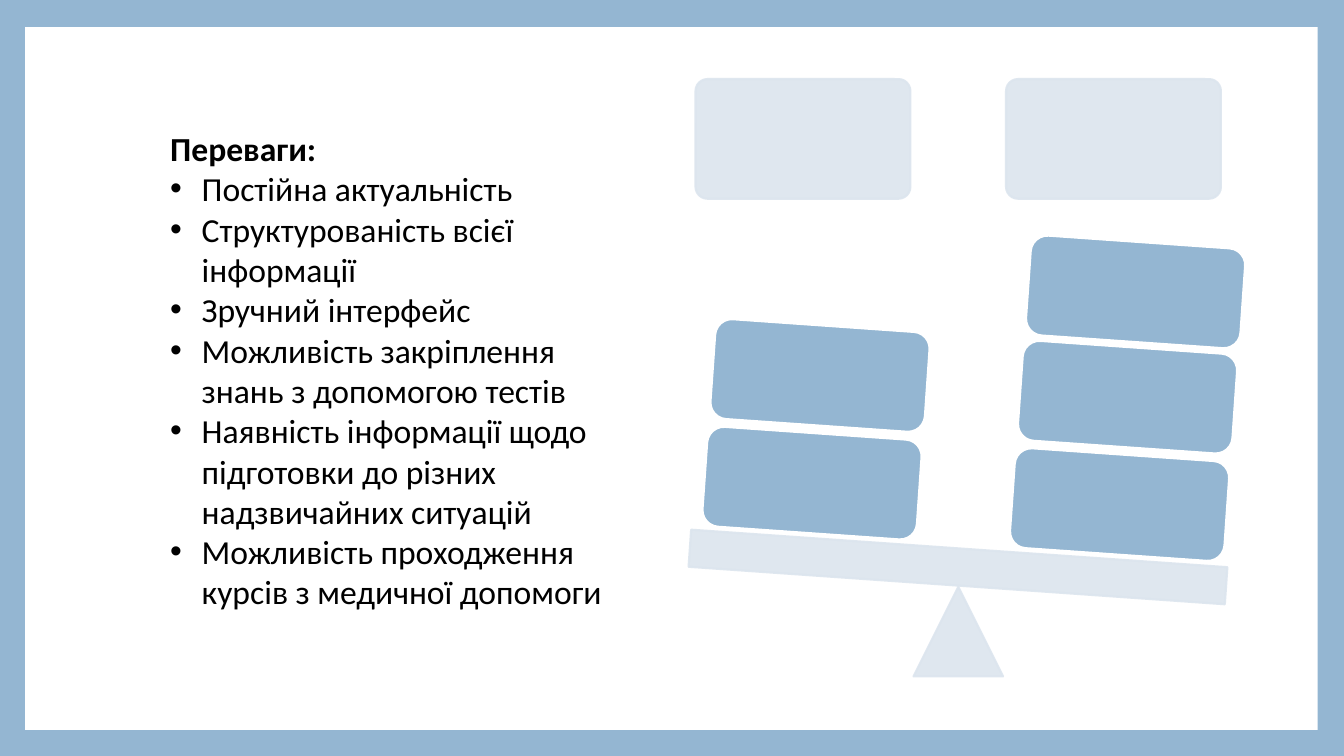
from pptx import Presentation
from pptx.dml.color import RGBColor
from pptx.enum.shapes import MSO_SHAPE as Preset
from pptx.enum.text import MSO_ANCHOR as Anchor, MSO_AUTO_SIZE as AutoSize
from pptx.oxml.ns import qn
from pptx.util import Pt
from lxml.etree import SubElement

BLUE, PALE, WHITE, BLACK = "94B6D2", "DCE5EE", "FFFFFF", "000000"


def color(value):
    return RGBColor.from_string(value)


class SlideBuilder:
    font = {"name": "Calibri", "size": Pt(24)}
    bullet_indent = 22.5

    def __init__(self, page):
        self.page = page

    def background(self, fill):
        self.page.background.fill.solid()
        self.page.background.fill.fore_color.rgb = color(fill)

    def shape(self, preset, place, fill, line=None, rotation=0, corner=None, opacity=100):
        box = self.page.shapes.add_shape(preset, *map(Pt, place))
        box.shadow.inherit = False
        box.rotation = rotation
        if corner is not None:
            box.adjustments[0] = corner
        box.fill.solid()
        box.fill.fore_color.rgb = color(fill)
        if line:
            box.line.width = Pt(1.5)
            box.line.color.rgb = color(line)
        else:
            box.line.fill.background()
        if opacity < 100:
            for paint in box._element.spPr.iter(qn("a:srgbClr")):
                SubElement(paint, qn("a:alpha"), val=str(opacity * 1000))

    def bulleted_text(self, place, heading, items):
        box = self.page.shapes.add_textbox(*map(Pt, place))
        frame = box.text_frame
        layout = {"word_wrap": True, "vertical_anchor": Anchor.TOP,
                  "auto_size": AutoSize.SHAPE_TO_FIT_TEXT}
        for name, value in layout.items():
            setattr(frame, name, value)
        para = frame.paragraphs[0]
        para.line_spacing = 2.5
        self.span(para, heading, bold=True)
        for item in items:
            para = frame.add_paragraph()
            self.bullet(para)
            self.span(para, item, bold=False)

    def bullet(self, para):
        settings = para._p.get_or_add_pPr()
        settings.set("marL", str(Pt(self.bullet_indent)))
        settings.set("indent", str(-Pt(self.bullet_indent)))
        SubElement(settings, qn("a:buFont"), typeface="Arial")
        SubElement(settings, qn("a:buChar"), char="•")

    def span(self, para, text, bold):
        span = para.add_run()
        span.text = text
        for name, value in {**self.font, "bold": bold}.items():
            setattr(span.font, name, value)
        span.font.color.rgb = color(BLACK)


deck = Presentation()
deck.slide_width, deck.slide_height = Pt(960), Pt(540)
slide = SlideBuilder(deck.slides.add_slide(deck.slide_layouts[6]))

# Blue frame around a white sheet
slide.background(BLUE)
slide.shape(Preset.RECTANGLE, (18, 19.3, 923.3, 502), WHITE)

# Advantages
slide.bulleted_text((114.5, 44.6, 337, 422), "Переваги:", [
    "Постійна актуальність",
    "Структурованість всієї інформації",
    "Зручний інтерфейс",
    "Можливість закріплення знань з допомогою тестів",
    "Наявність інформації щодо підготовки до різних надзвичайних ситуацій",
    "Можливість проходження курсів з медичної допомоги",
])

# Scale: two labels, pivot and tilted beam
TILT = 4
pale = {"fill": PALE, "line": PALE, "opacity": 90}
for left in (496.8, 718.6):
    slide.shape(Preset.ROUNDED_RECTANGLE, (left, 56.5, 153.5, 85.5), corner=0.1, **pale)
slide.shape(Preset.ISOSCELES_TRIANGLE, (652.5, 419.2, 64, 64), **pale)
slide.shape(Preset.RECTANGLE, (492.3, 391.7, 384, 26.6), rotation=TILT, **pale)

# Weights, each pile from the beam upwards
for left, tops in ((723, (324.7, 248, 172.8)), (503.3, (309.4, 232.5))):
    for level, top in enumerate(tops):
        place = (left + 5.7 * level, top, 153.5, 71.5)
        slide.shape(Preset.ROUNDED_RECTANGLE, place, BLUE, WHITE, rotation=TILT)

deck.save("out.pptx")
